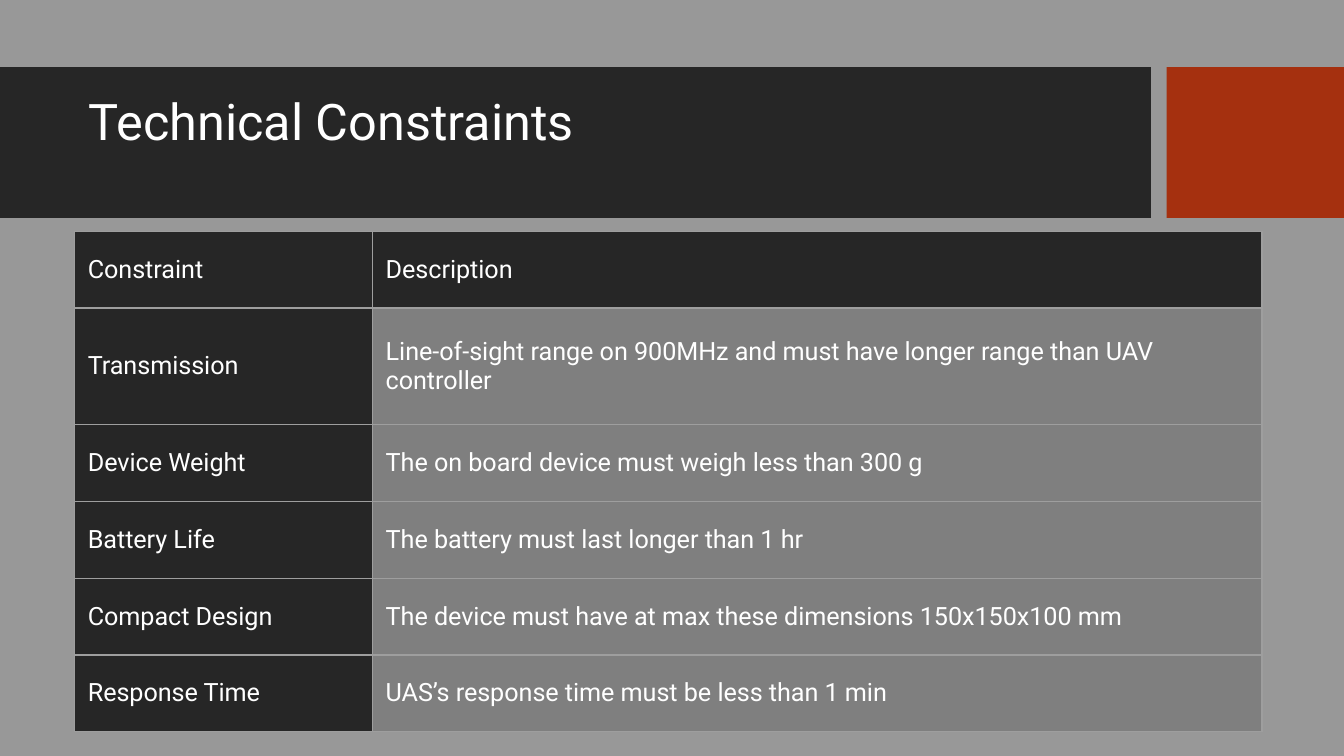
from lxml import etree
from pptx import Presentation
from pptx.dml.color import RGBColor
from pptx.enum.shapes import MSO_SHAPE
from pptx.enum.text import MSO_ANCHOR
from pptx.oxml.ns import qn
from pptx.util import Cm, Pt

RECTANGLE = MSO_SHAPE.RECTANGLE
TOP = MSO_ANCHOR.TOP
MIDDLE = MSO_ANCHOR.MIDDLE

FONT = "Roboto"
GREY, DARK, RED = "989898", "262626", "A5300F"
CELL_GREY, BORDER, WHITE = "7F7F7F", "9E9E9E", "FFFFFF"
INSET = 0.25

CONSTRAINTS = [
    ("Constraint", "Description"),
    ("Transmission", "Line-of-sight range on 900MHz and must have longer "
                     "range than UAV controller"),
    ("Device Weight", "The on board device must weigh less than 300 g"),
    ("Battery Life", "The battery must last longer than 1 hr"),
    ("Compact Design", "The device must have at max these dimensions "
                       "150x150x100 mm"),
    ("Response Time", "UAS’s response time must be less than 1 min"),
]
COLUMN_WIDTHS = [5.63, 16.81]
ROW_HEIGHT, TALL_ROW_HEIGHT = 1.45, 2.21


def color(code):
    return RGBColor.from_string(code)


def write(frame, text, size=13.5, ink=WHITE, line_spacing=1.0):
    """Put one formatted paragraph in a text frame."""
    frame.word_wrap = True
    para = frame.paragraphs[0]
    para.line_spacing = line_spacing
    span = para.add_run()
    span.text = text
    span.font.name = FONT
    span.font.size = Pt(size)
    span.font.color.rgb = color(ink)


def set_margins(target):
    """Give a text frame or table cell the same inset on all sides."""
    target.margin_left = target.margin_right = Cm(INSET)
    target.margin_top = target.margin_bottom = Cm(INSET)


def set_borders(cell, code, width):
    properties = cell._tc.get_or_add_tcPr()
    for position, side in enumerate(("lnL", "lnR", "lnT", "lnB")):
        line = etree.Element(qn(f"a:{side}"), w=str(Pt(width)))
        fill = etree.SubElement(line, qn("a:solidFill"))
        etree.SubElement(fill, qn("a:srgbClr"), val=code)
        properties.insert(position, line)


class SlideBuilder:
    """Holds the current page and draws styled elements on it."""

    def __init__(self, page, background):
        self.page = page
        page.background.fill.solid()
        page.background.fill.fore_color.rgb = color(background)

    def block(self, left, top, width, height, fill):
        shape = self.page.shapes.add_shape(
            RECTANGLE, Cm(left), Cm(top), Cm(width), Cm(height))
        shape.shadow.inherit = False
        shape.fill.solid()
        shape.fill.fore_color.rgb = color(fill)
        shape.line.fill.background()

    def title(self, left, top, width, height, text):
        box = self.page.shapes.add_textbox(
            Cm(left), Cm(top), Cm(width), Cm(height))
        set_margins(box.text_frame)
        box.text_frame.vertical_anchor = TOP
        write(box.text_frame, text, size=27, line_spacing=0.9)

    def table(self, left, top, widths, heights, rows):
        table = self.page.shapes.add_table(
            len(rows), len(widths), Cm(left), Cm(top),
            Cm(sum(widths)), Cm(sum(heights))).table
        for column, width in zip(table.columns, widths):
            column.width = Cm(width)
        for row, height in zip(table.rows, heights):
            row.height = Cm(height)
        for row_index, texts in enumerate(rows):
            for column_index, text in enumerate(texts):
                is_header = row_index == 0 or column_index == 0
                self.cell(table.cell(row_index, column_index), text,
                          DARK if is_header else CELL_GREY)

    def cell(self, cell, text, fill):
        set_margins(cell)
        cell.vertical_anchor = MIDDLE
        cell.fill.solid()
        cell.fill.fore_color.rgb = color(fill)
        set_borders(cell, BORDER, 0.75)
        write(cell.text_frame, text)


def main():
    deck = Presentation()
    deck.slide_width, deck.slide_height = Cm(25.4), Cm(14.29)
    builder = SlideBuilder(deck.slides.add_slide(deck.slide_layouts[6]), GREY)
    builder.block(0, 1.27, 21.75, 2.85, DARK)
    builder.block(22.05, 1.27, 3.35, 2.85, RED)
    builder.title(1.43, 1.58, 20.04, 2.26, "Technical Constraints")
    heights = [ROW_HEIGHT] * len(CONSTRAINTS)
    heights[1] = TALL_ROW_HEIGHT
    builder.table(1.41, 4.37, COLUMN_WIDTHS, heights, CONSTRAINTS)
    deck.save("out.pptx")


if __name__ == "__main__":
    main()
